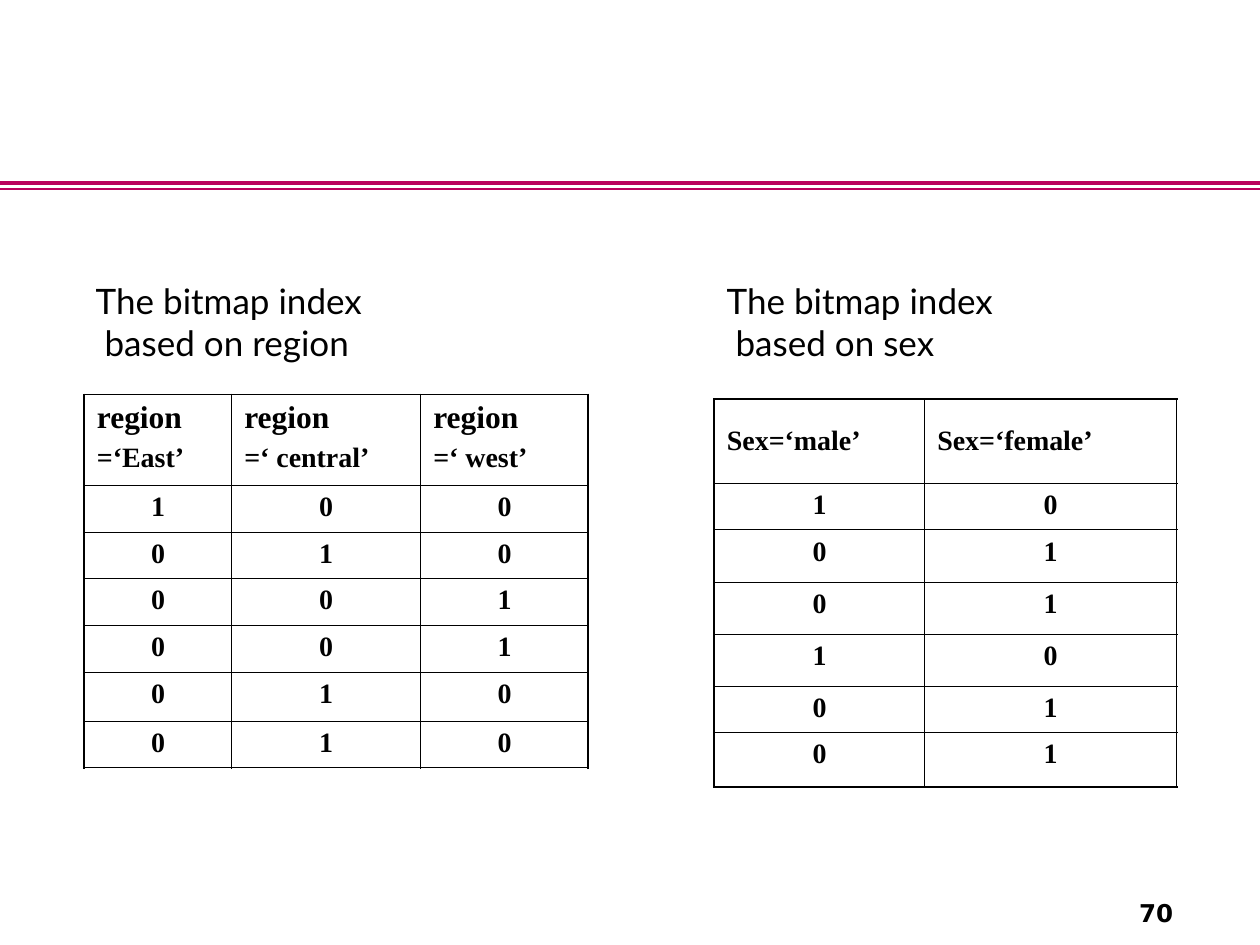
import pptx
import pptx.dml.color
import pptx.enum.shapes
import pptx.enum.text
import pptx.oxml.ns
import pptx.util
from lxml import etree

Cm = pptx.util.Cm
Pt = pptx.util.Pt
Align = pptx.enum.text.PP_ALIGN
Anchor = pptx.enum.text.MSO_ANCHOR
BLACK = pptx.dml.color.RGBColor(0, 0, 0)
PINK = pptx.dml.color.RGBColor(0xBA, 0x00, 0x5D)
THICK, THIN = Pt(1.08), Pt(0.45)


class Deck:
    """Hold the style and the current slide, and draw its elements."""

    sans, serif, mono = "Lato", "Times New Roman", "DejaVu Sans"

    def __init__(self):
        self.show = pptx.Presentation()
        self.show.slide_width, self.show.slide_height = Cm(25.4), Cm(19.05)
        self.slide = self.show.slides.add_slide(self.show.slide_layouts[6])

    def sub(self, node, tag, **attrs):
        return etree.SubElement(node, pptx.oxml.ns.qn(tag), attrs)

    def font(self, para, face, size, bold=False):
        para.font.name, para.font.size = face, Pt(size)
        para.font.bold = bold
        para.font.color.rgb = BLACK

    def rule(self, top, width):
        line = self.slide.shapes.add_connector(
            pptx.enum.shapes.MSO_CONNECTOR.STRAIGHT, 0, Cm(top), Cm(25.4), Cm(top))
        line.line.color.rgb = PINK
        line.line.width = Pt(width)
        self.sub(line._element.spPr, "a:effectLst")

    def text(self, words, left, top, width, height, face, size, bold=False,
             align=Align.LEFT, anchor=Anchor.TOP):
        box = self.slide.shapes.add_textbox(Cm(left), Cm(top), Cm(width), Cm(height))
        frame = box.text_frame
        frame.word_wrap = True
        frame.vertical_anchor = anchor
        frame.text = words
        for para in frame.paragraphs:
            para.alignment = align
            self.font(para, face, size, bold)

    def edge(self, cell, tag, width):
        line = self.sub(cell._tc.get_or_add_tcPr(), tag, w=str(width))
        fill = self.sub(line, "a:solidFill")
        self.sub(fill, "a:srgbClr", val=str(BLACK))

    def cell(self, cell, words, head, outer):
        for tag, out in zip(("a:lnL", "a:lnR", "a:lnT", "a:lnB"), outer):
            self.edge(cell, tag, THICK if out else THIN)
        cell.fill.background()
        cell.text = words
        paras = cell.text_frame.paragraphs
        if head and len(paras) == 1:
            cell.vertical_anchor = Anchor.MIDDLE
        for para in paras:
            size = 18 if para.text == "region" else 16
            para.alignment = Align.LEFT if head else Align.CENTER
            para.space_before = Pt(size / 4)
            self.font(para, self.serif, size, True)

    def table(self, left, top, cols, rows, heads, bits):
        grid = self.slide.shapes.add_table(
            len(rows), len(cols), Cm(left), Cm(top), Cm(sum(cols)), Cm(sum(rows))).table
        grid.first_row = grid.horz_banding = False
        for col, width in zip(grid.columns, cols):
            col.width = Cm(width)
        for row, height in zip(grid.rows, rows):
            row.height = Cm(height)
        for r, line in enumerate([heads, *bits]):
            for c, words in enumerate(line):
                outer = (c == 0, c == len(cols) - 1, r == 0, r == len(rows) - 1)
                self.cell(grid.cell(r, c), words, r == 0, outer)


def main():
    deck = Deck()
    deck.rule(3.68, 2.25)
    deck.rule(3.81, 1)
    deck.text("70", 22.43, 17.98, 1.47, 0.84, deck.mono, 14, True,
              Align.RIGHT, Anchor.MIDDLE)
    deck.text("The bitmap index\n based on region", 1.68, 5.51, 6.3, 1.96, deck.sans, 20)
    deck.table(1.7, 7.95, [2.97, 3.81, 3.38], [1.83] + [0.94] * 4 + [0.99, 0.94],
               ["region\n=‘East’", "region\n=‘ central’", "region\n=‘ west’"],
               ["100", "010", "001", "001", "010", "010"])
    deck.text("The bitmap index\n based on sex", 14.4, 5.51, 7.42, 1.96, deck.sans, 20)
    deck.table(14.4, 8.05, [4.24, 5.08], [1.69, 0.94, 1.05, 1.05, 1.05, 0.94, 1.09],
               ["Sex=‘male’", "Sex=‘female’"],
               ["10", "01", "01", "10", "01", "01"])
    deck.show.save("out.pptx")


if __name__ == "__main__":
    main()
